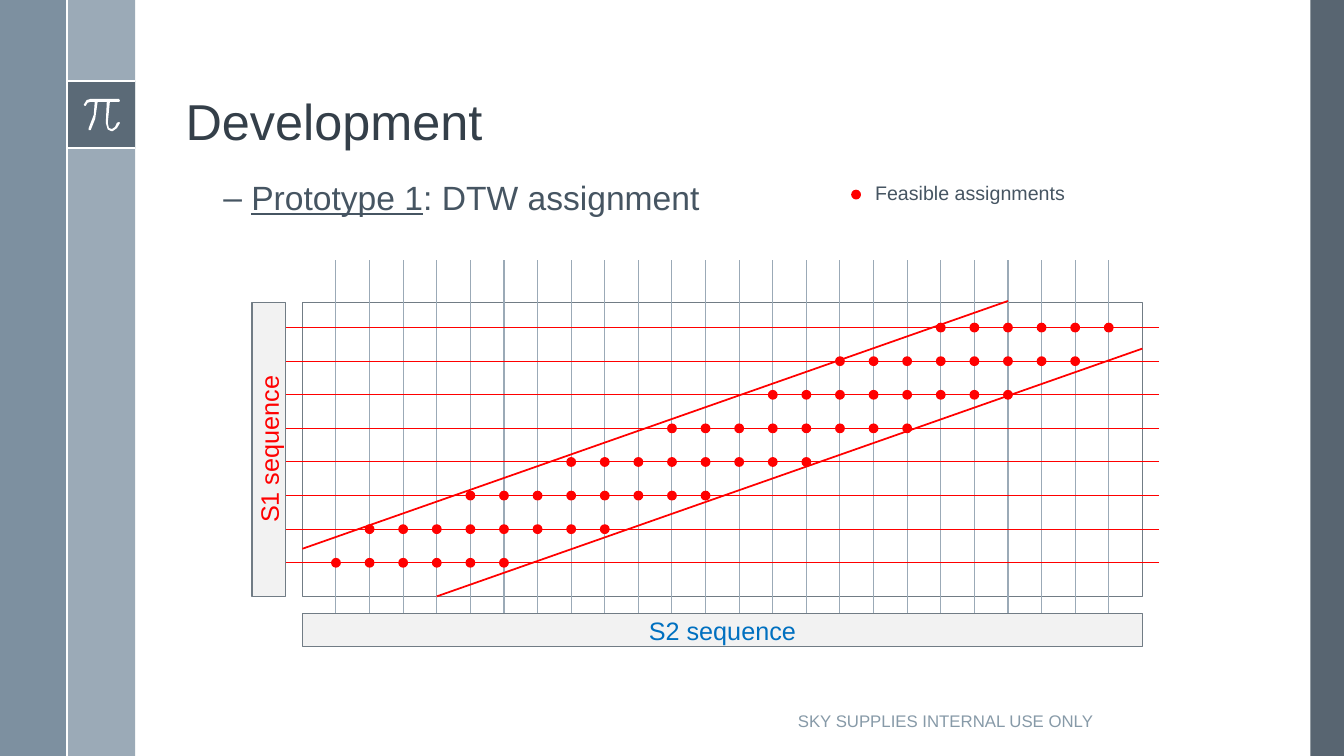
"""Build the Development slide showing feasible DTW assignments on a sequence grid."""
from lxml import etree
from pptx import Presentation
from pptx.dml.color import RGBColor
from pptx.enum.shapes import MSO_CONNECTOR, MSO_SHAPE
from pptx.enum.text import MSO_ANCHOR, PP_ALIGN
from pptx.oxml.ns import qn
from pptx.util import Pt

RECTANGLE, OVAL = MSO_SHAPE.RECTANGLE, MSO_SHAPE.OVAL
STRAIGHT = MSO_CONNECTOR.STRAIGHT
TOP, MIDDLE, BOTTOM = MSO_ANCHOR.TOP, MSO_ANCHOR.MIDDLE, MSO_ANCHOR.BOTTOM
LEFT, CENTER = PP_ALIGN.LEFT, PP_ALIGN.CENTER
RED, WHITE, SLATE, MIST = "FF0000", "FFFFFF", "465562", "9BAAB7"
GRAY, PALE = "717C85", "F2F2F2"

deck = Presentation()
deck.slide_width, deck.slide_height = Pt(960), Pt(540)
page = deck.slides.add_slide(deck.slide_layouts[6])


def add_box(kind, left, top, width, height, fill=None, line=None):
    """Add a preset shape; without a colour, fill or line is left off."""
    box = page.shapes.add_shape(kind, Pt(left), Pt(top), Pt(width), Pt(height))
    box.shadow.inherit = False
    for paint, color in ((box.fill, fill), (box.line.fill, line)):
        if color:
            paint.solid()
            paint.fore_color.rgb = RGBColor.from_string(color)
        else:
            paint.background()
    if line:
        box.line.width = Pt(1)
    return box


def add_line(x1, y1, x2, y2, color, width):
    """Add a straight line without a shadow."""
    line = page.shapes.add_connector(STRAIGHT, Pt(x1), Pt(y1), Pt(x2), Pt(y2))
    line.line.color.rgb = RGBColor.from_string(color)
    line.line.width = Pt(width)
    etree.SubElement(line._element.spPr, qn("a:effectLst"))


side_bands = [
    (936, 0, 24, 540, SLATE, 90),
    (48, 0, 48.5, 540, MIST, 100),
    (0, 0, 48, 540, "6A8093", 87),
    (48, 58, 48.5, 48, SLATE, 75),
]
for left, top, width, height, color, opacity in side_bands:
    band = add_box(RECTANGLE, left, top, width, height, color)
    if opacity < 100:
        tint = band._element.spPr.find(qn("a:solidFill"))[0]
        etree.SubElement(tint, qn("a:alpha"), val=str(opacity * 1000))

for y in (58, 106):
    add_line(48, y, 96.5, y, WHITE, 1.5)

pi_outline = [
    (850, 706), (648, 706), (619, 715), (598, 749), (605, 756), (612, 756),
    (626, 734), (648, 727), (677, 727), (670, 820), (634, 914), (634, 929),
    (648, 929), (680, 850), (698, 727), (763, 727), (756, 878), (770, 925),
    (792, 936), (806, 936), (836, 915), (857, 878), (850, 871), (835, 878),
    (822, 907), (799, 922), (778, 914), (770, 878), (785, 727), (850, 727),
    (857, 720),
]
builder = page.shapes.build_freeform(*pi_outline[0], scale=Pt(0.1))
builder.add_line_segments(pi_outline[1:], close=True)
pi_sign = builder.convert_to_shape()
pi_sign.shadow.inherit = False
pi_sign.fill.solid()
pi_sign.fill.fore_color.rgb = RGBColor.from_string(WHITE)
pi_sign.line.fill.background()
add_line(48, 0, 48, 540, WHITE, 1.5)

step, first_column, first_row = 24, 240, 234
row_spans = [(18, 6), (15, 8), (13, 8), (10, 8), (7, 8), (4, 8), (1, 8), (0, 6)]

add_box(RECTANGLE, 216, 216, 600, 210, line=GRAY)
for column in range(24):
    x = first_column + step * column
    add_line(x, 186, x, 450, MIST, 0.75)
for row in range(len(row_spans)):
    y = first_row + step * row
    add_line(828, y, 204, y, RED, 0.75)

s1_box = add_box(RECTANGLE, 87, 309, 210, 24, PALE, GRAY)
s1_box.rotation = 270
s2_box = add_box(RECTANGLE, 216, 438, 600, 24, PALE, GRAY)

add_line(312, 426, 816, 249, RED, 1.25)
add_line(216, 392, 720, 215, RED, 1.25)

dot_centers = [(611.5, 139)]
for row, (start, count) in enumerate(row_spans):
    for column in range(start, start + count):
        dot_centers.append((first_column + step * column, first_row + step * row))
for x, y in dot_centers:
    add_box(OVAL, x - 3, y - 3, 6, 6, RED, RED)

title, body, footer, legend = [
    page.shapes.add_textbox(Pt(left), Pt(top), Pt(width), Pt(height))
    for left, top, width, height in (
        (125.5, 14, 770, 98),
        (124.5, 126, 770, 360),
        (519, 500.5, 313, 29),
        (618, 126, 153, 24.5),
    )
]
labels = [
    (title, ["Development"], 36, "343F49", LEFT, BOTTOM),
    (body, ["Prototype 1", ": DTW assignment"], 24, SLATE, LEFT, TOP),
    (footer, ["SKY SUPPLIES INTERNAL USE ONLY"], 12, "879AA8", CENTER, MIDDLE),
    (legend, ["Feasible assignments"], 14, SLATE, LEFT, TOP),
    (s1_box, ["S1 sequence"], 18, RED, CENTER, MIDDLE),
    (s2_box, ["S2 sequence"], 18, "0070C0", CENTER, MIDDLE),
]
for box, pieces, size, color, align, anchor in labels:
    frame = box.text_frame
    frame.word_wrap = True
    frame.vertical_anchor = anchor
    para = frame.paragraphs[0]
    para.alignment = align
    for piece in pieces:
        span = para.add_run()
        span.text = piece
        span.font.name = "Arial"
        span.font.size = Pt(size)
        span.font.color.rgb = RGBColor.from_string(color)

title.text_frame.paragraphs[0].line_spacing = 0.9
prototype = body.text_frame.paragraphs[0]
prototype.line_spacing = 0.9
prototype.runs[0].font.underline = True
settings = prototype._p.get_or_add_pPr()
settings.set("marL", str(Pt(48)))
settings.set("indent", str(Pt(-20)))
bullet_color = etree.SubElement(settings, qn("a:buClr"))
etree.SubElement(bullet_color, qn("a:srgbClr"), val=SLATE)
etree.SubElement(settings, qn("a:buFont"), typeface="Arial")
etree.SubElement(settings, qn("a:buChar"), char="–")

deck.save("out.pptx")
